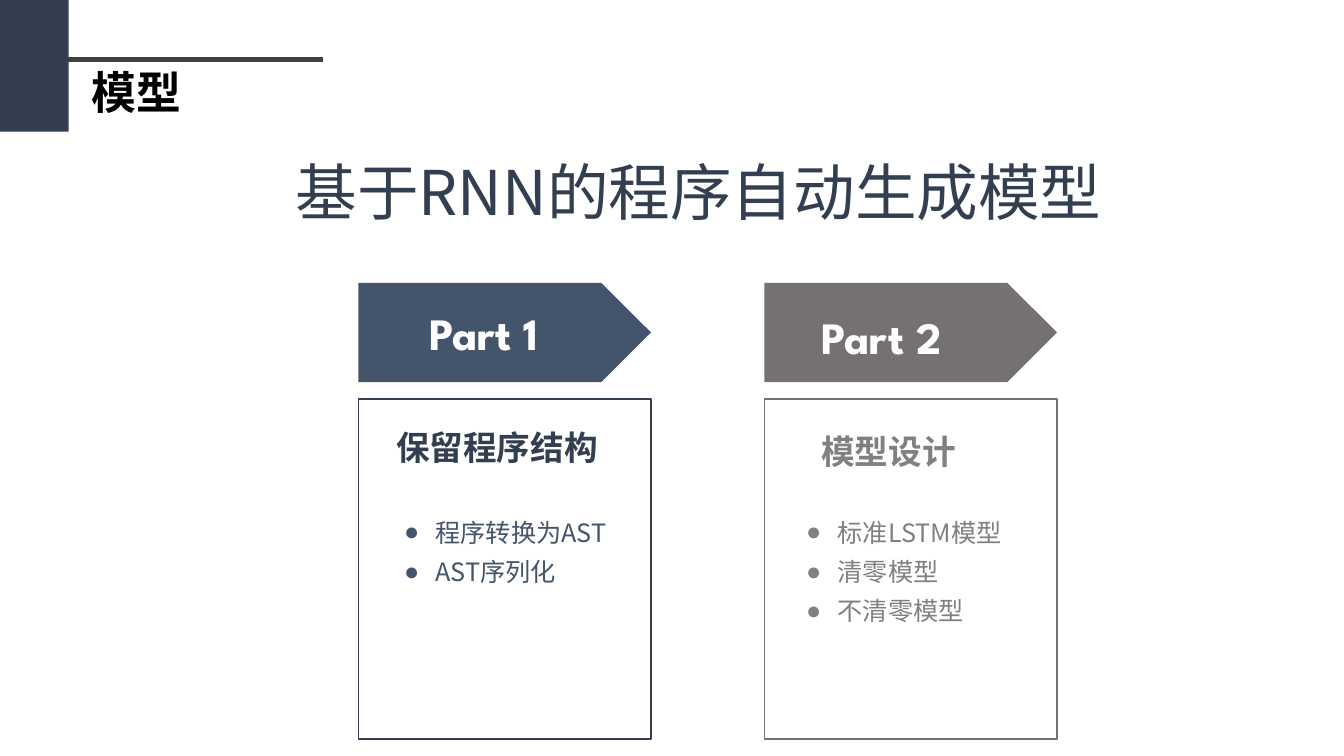
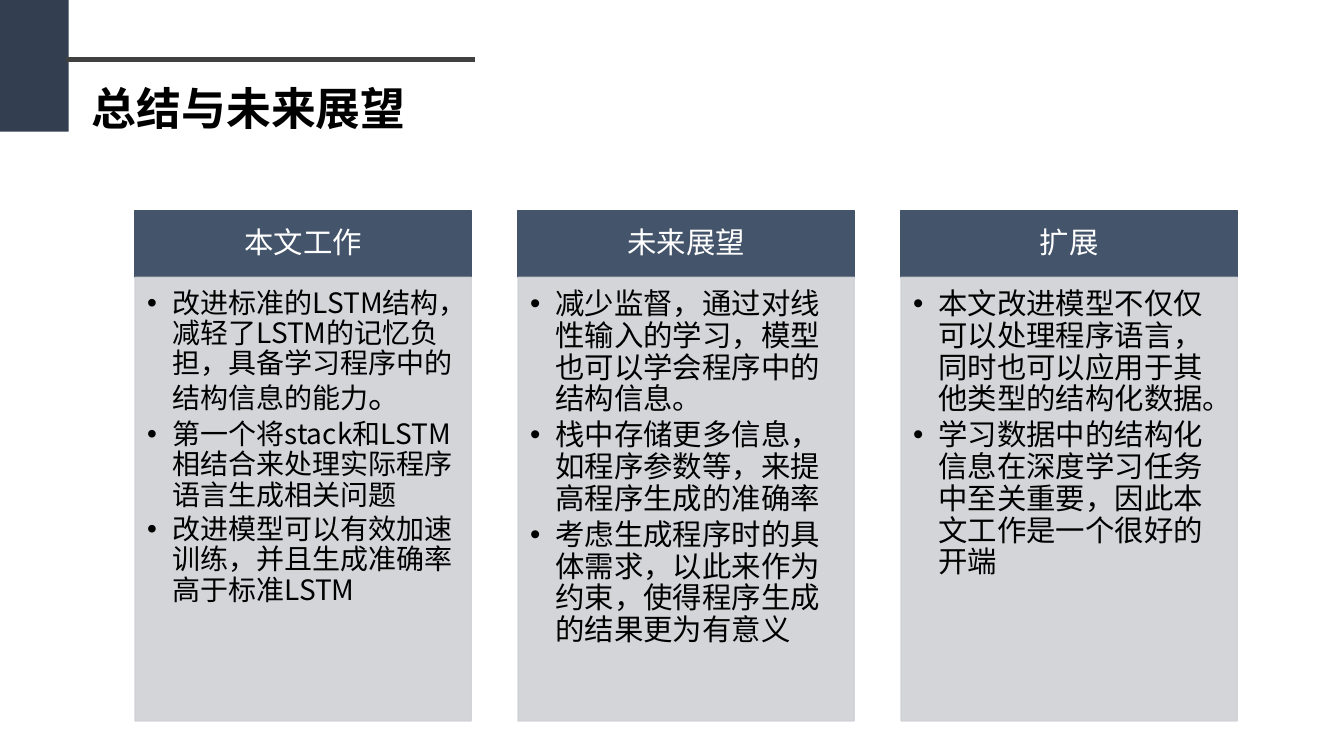
from dataclasses import dataclass

from lxml import etree
from pptx import Presentation
from pptx.dml.color import RGBColor
from pptx.enum.shapes import MSO_CONNECTOR, MSO_SHAPE
from pptx.enum.text import MSO_ANCHOR, PP_ALIGN
from pptx.oxml.ns import qn
from pptx.util import Pt

RECT, ARROW = MSO_SHAPE.RECTANGLE, MSO_SHAPE.PENTAGON
LINE = MSO_CONNECTOR.STRAIGHT
TOP, MIDDLE = MSO_ANCHOR.TOP, MSO_ANCHOR.MIDDLE
LEFT, CENTER = PP_ALIGN.LEFT, PP_ALIGN.CENTER

SANS, LATIN = "Noto Sans CJK SC", "League Spartan"
NAVY, SLATE, STONE, GRAY = "333F50", "44546A", "767171", "808080"
PALE, RULE, BLACK, WHITE = "CFD1D4", "404040", "000000", "FFFFFF"


@dataclass(frozen=True)
class Box:
    left: float
    top: float
    width: float
    height: float

    def points(self) -> list:
        return [Pt(v) for v in (self.left, self.top, self.width, self.height)]


@dataclass(frozen=True)
class Style:
    size: float
    color: str
    bold: bool = False
    font: str = SANS
    align: PP_ALIGN = LEFT
    anchor: MSO_ANCHOR = TOP
    spacing: float = 1.0
    after: float = 0
    bullet: str = ""
    indent: float = 0
    inset: tuple = (7.2, 3.6, 7.2, 3.6)
    wrap: bool = True


@dataclass(frozen=True)
class Card:
    left: float
    fill: str
    edge: str
    label: str
    label_at: tuple
    head: str
    head_at: tuple
    head_color: str
    list_left: float
    list_color: str
    items: tuple


@dataclass(frozen=True)
class Column:
    head: str
    size: float
    items: tuple
    ending: str = ""  # larger closing mark of the first item


def put(target, values: dict) -> None:
    for name, value in values.items():
        setattr(target, name, value)


def paint(form, color: str) -> None:
    """Give a fill or a line format a solid colour."""
    fill = form if hasattr(form, "solid") else form.fill
    fill.solid()
    fill.fore_color.rgb = RGBColor.from_string(color)


def fade(shape, percent: int) -> None:
    """Make the fill and line colours of a shape partly transparent."""
    for color in shape._element.spPr.iter(qn("a:srgbClr")):
        etree.SubElement(color, qn("a:alpha"), val=str(percent * 1000))


def add_run(para, text: str, style: Style, size: float) -> None:
    run = para.add_run()
    run.text = text
    put(run.font, {"name": style.font, "size": Pt(size), "bold": style.bold})
    paint(run.font, style.color) if hasattr(run.font, "solid") else paint(run.font.fill, style.color)
    etree.SubElement(run._r.get_or_add_rPr(), qn("a:ea"), typeface=style.font)


def write(shape, lines: tuple, style: Style, ending: str = "") -> None:
    """Fill a shape with one paragraph per line."""
    frame = shape.text_frame
    sides = ("margin_left", "margin_top", "margin_right", "margin_bottom")
    put(frame, {"word_wrap": style.wrap, "vertical_anchor": style.anchor})
    put(frame, dict(zip(sides, map(Pt, style.inset))))
    for i, line in enumerate(lines):
        para = frame.add_paragraph() if i else frame.paragraphs[0]
        put(para, {"alignment": style.align, "line_spacing": style.spacing,
                   "space_after": Pt(style.after)})
        if style.bullet:
            props = para._p.get_or_add_pPr()
            props.set("marL", str(Pt(style.indent)))
            props.set("indent", str(-Pt(style.indent)))
            etree.SubElement(props, qn("a:buFont"), typeface="Arial")
            etree.SubElement(props, qn("a:buChar"), char=style.bullet)
        add_run(para, line, style, style.size)
        if ending and i == 0:
            add_run(para, ending, style, 24)


def add_text(slide, box: Box, lines: tuple, style: Style) -> None:
    write(slide.shapes.add_textbox(*box.points()), lines, style)


def add_block(slide, kind, box: Box, fill: str = "", edge: str = ""):
    shape = slide.shapes.add_shape(kind, *box.points())
    shape.shadow.inherit = False
    if fill:
        paint(shape.fill, fill)
    else:
        shape.fill.background()
    if edge:
        paint(shape.line, edge)
        shape.line.width = Pt(1)
    else:
        shape.line.fill.background()
    return shape


def add_header(slide, title: str, end: float, spacing: float) -> None:
    """Draw the corner band, the rule up to `end` and the title below it."""
    add_block(slide, RECT, Box(0, 0, 49, 94), NAVY)
    rule = slide.shapes.add_connector(LINE, *map(Pt, (47, 42.5, end, 42.5)))
    paint(rule.line, RULE)
    rule.line.width = Pt(3)
    etree.SubElement(rule._element.spPr, qn("a:effectLst"))
    add_text(slide, Box(58.5, 42.5, 302, 46), (title,),
             Style(32, BLACK, bold=True, spacing=spacing))


def add_card(slide, card: Card) -> None:
    add_block(slide, ARROW, Box(card.left, 202, 209, 71), card.fill)
    add_text(slide, Box(*card.label_at, 176, 46), (card.label,),
             Style(32, WHITE, bold=True, font=LATIN))
    add_block(slide, RECT, Box(card.left, 285, 209, 243), edge=card.edge)
    add_text(slide, Box(*card.head_at, 160, 42), (card.head,),
             Style(24, card.head_color, bold=True, spacing=1.3, wrap=False))
    add_text(slide, Box(card.list_left, 359.3, 186.5, 92), card.items,
             Style(18, card.list_color, spacing=1.3, bullet="●", indent=22.5))


def add_column(slide, column: Column, left: float) -> None:
    head = add_block(slide, RECT, Box(left, 150.5, 240, 47.5), SLATE, SLATE)
    write(head, (column.head,),
          Style(21, WHITE, align=CENTER, anchor=MIDDLE, spacing=0.9,
                inset=(11.5, 6.5, 11.5, 6.5)))
    body = add_block(slide, RECT, Box(left, 198, 240, 317), PALE, PALE)
    fade(body, 90)
    write(body, column.items,
          Style(column.size, BLACK, spacing=0.9, after=3, bullet="•",
                indent=18, inset=(8.6, 8.6, 11.5, 12.5)),
          column.ending)


CARDS = (
    Card(256, SLATE, NAVY, "Part 1", (299.5, 214.5),
         "保留程序结构", (275.8, 293), NAVY, 281.5, SLATE,
         ("程序转换为AST", "AST序列化")),
    Card(546, STONE, STONE, "Part 2", (579.6, 218),
         "模型设计", (579.6, 295.5), GRAY, 568.8, GRAY,
         ("标准LSTM模型", "清零模型", "不清零模型")),
)

COLUMNS = (
    Column("本文工作", 20, (
        "改进标准的LSTM结构，减轻了LSTM的记忆负担，具备学习程序中的结构信息的能力",
        "第一个将stack和LSTM相结合来处理实际程序语言生成相关问题",
        "改进模型可以有效加速训练，并且生成准确率高于标准LSTM"), "。"),
    Column("未来展望", 21, (
        "减少监督，通过对线性输入的学习，模型也可以学会程序中的结构信息。",
        "栈中存储更多信息，如程序参数等，来提高程序生成的准确率",
        "考虑生成程序时的具体需求，以此来作为约束，使得程序生成的结果更为有意义")),
    Column("扩展", 21, (
        "本文改进模型不仅仅可以处理程序语言，同时也可以应用于其他类型的结构化数据。",
        "学习数据中的结构化信息在深度学习任务中至关重要，因此本文工作是一个很好的开端")),
)


def draw_model(slide) -> None:
    add_header(slide, "模型", 231, 1.0)
    add_text(slide, Box(204, 88, 633, 104), ("基于RNN的程序自动生成模型",),
             Style(44, NAVY, anchor=MIDDLE, spacing=0.9))
    for card in CARDS:
        add_card(slide, card)


def draw_summary(slide) -> None:
    add_header(slide, "总结与未来展望", 339, 1.3)
    for i, column in enumerate(COLUMNS):
        add_column(slide, column, 96.5 + i * 273.6)


def main() -> None:
    deck = Presentation()
    put(deck, {"slide_width": Pt(960), "slide_height": Pt(540)})
    for draw in (draw_model, draw_summary):
        draw(deck.slides.add_slide(deck.slide_layouts[6]))
    deck.save("out.pptx")


if __name__ == "__main__":
    main()
